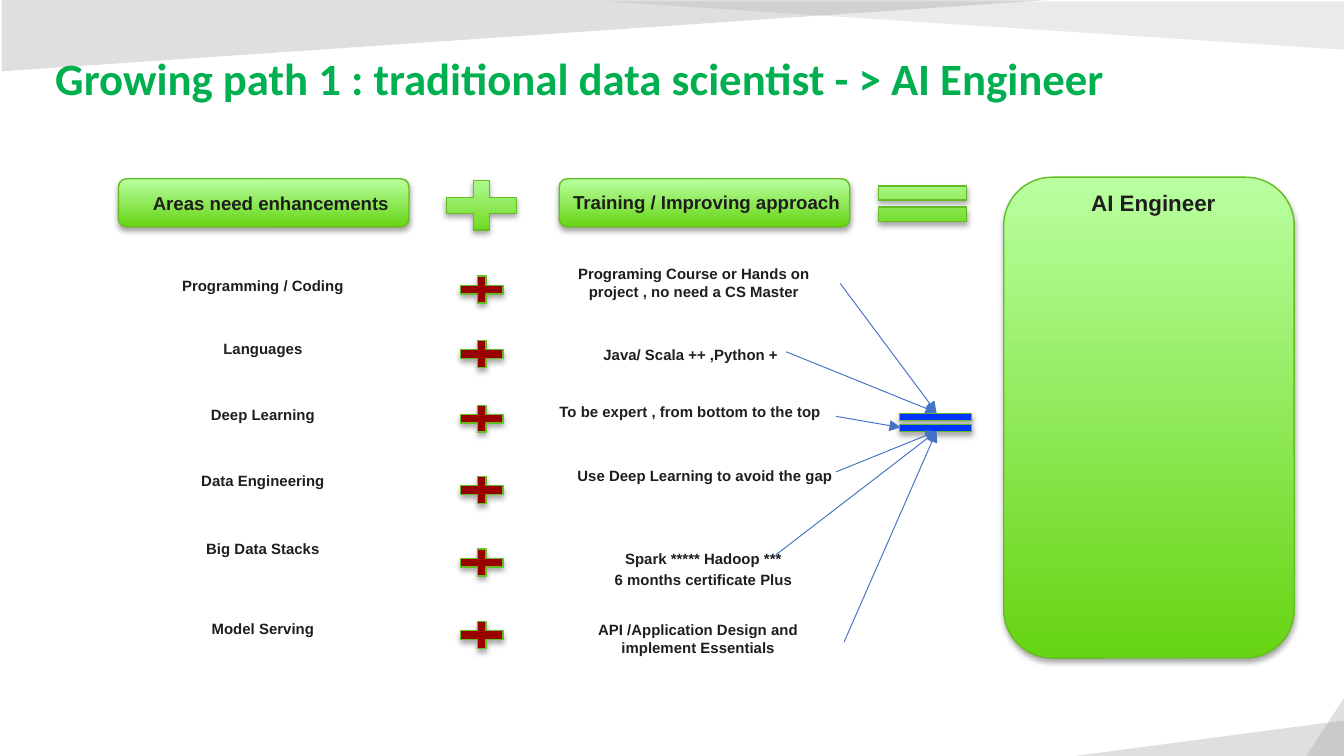
from dataclasses import dataclass

from lxml.etree import SubElement
from pptx import Presentation
from pptx.dml.color import RGBColor
from pptx.enum.shapes import MSO_CONNECTOR, MSO_SHAPE
from pptx.enum.text import MSO_ANCHOR, PP_ALIGN
from pptx.oxml.ns import qn
from pptx.util import Cm, Pt


@dataclass(frozen=True)
class Theme:
    """Colours, fonts and type sizes of the slide."""
    title: str = "00B050"
    text: str = "1E1E1E"
    light: str = "B9FFA0"
    dark: str = "66D412"
    outline: str = "66BD23"
    plus: str = "990000"
    equal: str = "0033FF"
    arrow: str = "4472C4"
    decor: str = "A5A5A5"
    shadow: str = "000000"
    title_font: str = "Calibri"
    body_font: str = "Arial"
    title_size: float = 24
    panel_size: float = 12
    header_size: float = 10
    body_size: float = 8


THEME = Theme()

ROWS = [
    ("Programming / Coding", 0.23, 0.25,
     "Programing Course or Hands on project , no need a CS Master", 8.26, 0, (13.78, 0.48), "top"),
    ("Languages", 1.42, 1.47,
     "Java/ Scala ++ ,Python +", 8.2, 1.52, (12.76, 1.77), "top"),
    ("Deep Learning", 2.66, 2.69,
     "To be expert , from bottom to the top", 8.19, 2.61, (13.7, 2.99), "left"),
    ("Data Engineering", 3.91, 4.04,
     "Use Deep Learning to avoid the gap", 8.47, 3.81, (13.7, 4.04), "bottom"),
    ("Big Data Stacks", 5.2, 5.41,
     "Spark ***** Hadoop ***\n6 months certificate Plus", 8.44, 5.38, (12.56, 5.61), "bottom"),
    ("Model Serving", 6.7, 6.78,
     "API /Application Design and implement Essentials", 8.34, 6.73, (13.85, 7.26), "bottom"),
]


def rgb(name):
    """Return the colour for a hex string."""
    return RGBColor.from_string(name)


def inside(box, dx, dy, w, h):
    """Return a box placed relative to another one."""
    return box[0] + dx, box[1] + dy, w, h


def format_runs(p, font, size, color):
    """Give the runs of a paragraph one bold format."""
    for r in p.runs:
        r.font.name, r.font.size, r.font.bold = font, Pt(size), True
        r.font.color.rgb = rgb(color)


def add_text(s, box, text, size):
    """Add centred bold text."""
    tf = s.shapes.add_textbox(*map(Cm, box)).text_frame
    tf.word_wrap = True
    tf.text = text
    for i, p in enumerate(tf.paragraphs):
        p.alignment = PP_ALIGN.CENTER
        p.space_before = Pt(0.2 * size if i else 0)
        format_runs(p, THEME.body_font, size, THEME.text)


def add_green(s, kind, box, fill=None):
    """Add a green-edged shape with a soft shadow, in a gradient or a plain fill."""
    sp = s.shapes.add_shape(kind, *map(Cm, box))
    if fill:
        sp.fill.solid()
        sp.fill.fore_color.rgb = rgb(fill)
    else:
        sp.fill.gradient()
        sp.fill.gradient_angle = 90
        for stop, color in zip(sp.fill.gradient_stops, (THEME.dark, THEME.light)):
            stop.color.rgb = rgb(color)
    sp.line.color.rgb = rgb(THEME.outline)
    sp.line.width = Pt(0.75)
    sp.shadow.inherit = False
    effects = sp._element.spPr.find(qn("a:effectLst"))
    shadow = SubElement(effects, qn("a:outerShdw"), blurRad=str(Pt(3.1)), dist=str(Pt(1.8)),
                        dir="5400000", rotWithShape="0")
    color = SubElement(shadow, qn("a:srgbClr"), val=THEME.shadow)
    SubElement(color, qn("a:alpha"), val="35000")
    return sp


def add_arrow(s, box, start, end):
    """Add an arrow between two points of a box."""
    points = [Cm(o + d) for point in (start, end) for o, d in zip(box, point)]
    line = s.shapes.add_connector(MSO_CONNECTOR.STRAIGHT, *points)
    line.line.color.rgb = rgb(THEME.arrow)
    line.line.width = Pt(0.5)
    spPr = line._element.spPr
    SubElement(spPr.find(qn("a:ln")), qn("a:tailEnd"), type="triangle")
    SubElement(spPr, qn("a:effectLst"))


def add_decor(s, box):
    """Place the translucent triangles in the corners of the slide."""
    _, _, w, h = box
    triangles = [
        ((w - 5.08, h - 0.67, 5.08, 0.67), ("flipH",), 35),
        ((w - 0.71, h - 1.09, 0.71, 1.09), ("flipH",), 35),
        ((0.03, 0, 19.81, 1.35), ("flipV",), 35),
        ((w - 13.94, 0.03, 13.94, 0.91), ("flipH", "flipV"), 23),
    ]
    for place, flips, alpha in triangles:
        sp = s.shapes.add_shape(MSO_SHAPE.RIGHT_TRIANGLE, *map(Cm, inside(box, *place)))
        sp.shadow.inherit = False
        sp.line.fill.background()
        sp.fill.solid()
        sp.fill.fore_color.rgb = rgb(THEME.decor)
        spPr = sp._element.spPr
        for flip in flips:
            spPr.find(qn("a:xfrm")).set(flip, "1")
        color = spPr.find(qn("a:solidFill")).find(qn("a:srgbClr"))
        SubElement(color, qn("a:alpha"), val=str(alpha * 1000))


def add_title(s, box, text):
    """Place the title placeholder in front of the other shapes."""
    sp = s.shapes.title
    sp.left, sp.top, sp.width, sp.height = map(Cm, box)
    tf = sp.text_frame
    tf.text = text
    tf.vertical_anchor = MSO_ANCHOR.MIDDLE
    p = tf.paragraphs[0]
    p.alignment = PP_ALIGN.LEFT
    p.line_spacing = 0.9
    format_runs(p, THEME.title_font, THEME.title_size, THEME.title)
    s.shapes._spTree.append(sp._element)


def add_header(s, box):
    """Place the two column headings with their plus and equal signs."""
    add_green(s, MSO_SHAPE.MATH_EQUAL, inside(box, 14.07, 0.03, 2.26, 1.14))
    for dx in (0, 8.33):
        add_green(s, MSO_SHAPE.ROUNDED_RECTANGLE, inside(box, dx, 0.13, 5.49, 0.91))
    add_text(s, inside(box, 0.22, 0.26, 5.31, 0.76), "Areas need enhancements", THEME.header_size)
    add_text(s, inside(box, 8.25, 0.23, 5.72, 0.76), "Training / Improving approach", THEME.header_size)
    add_green(s, MSO_SHAPE.MATH_PLUS, inside(box, 5.96, 0, 1.8, 1.27))


def add_rows(s, box):
    """Place the skills, their training and the arrows to the equal sign."""
    ends = {"top": (15.6, 2.92), "left": (14.92, 3.2), "bottom": (15.6, 3.27)}
    add_green(s, MSO_SHAPE.MATH_EQUAL, inside(box, 14.66, 2.82, 1.85, 0.58), THEME.equal)
    for skill, skill_y, plus_y, training, x, y, start, side in ROWS:
        add_text(s, inside(box, 0, skill_y, 5.74, 0.76), skill, THEME.body_size)
        add_green(s, MSO_SHAPE.MATH_PLUS, inside(box, 6.46, plus_y, 1.09, 0.69), THEME.plus)
        add_text(s, inside(box, x, y, 5.51, 0.94), training, THEME.body_size)
        add_arrow(s, box, start, ends[side])


def add_panel(s, box, text):
    """Place the result panel with its heading."""
    add_green(s, MSO_SHAPE.ROUNDED_RECTANGLE, box)
    add_text(s, inside(box, 0.38, 0.1, 4.9, 0.76), text, THEME.panel_size)


def main():
    """Build and save the slide."""
    prs = Presentation()
    prs.slide_width, prs.slide_height = Cm(25.4), Cm(14.29)
    s = prs.slides.add_slide(prs.slide_layouts[5])
    add_decor(s, (0, 0, 25.4, 14.29))
    add_header(s, (2.24, 3.25, 16.33, 1.27))
    add_panel(s, (18.97, 3.35, 5.49, 9.09), "AI Engineer")
    add_rows(s, (2.1, 4.88, 16.51, 7.67))
    add_title(s, (0.79, 0.48, 22.02, 2.11),
              "Growing path 1 : traditional data scientist - > AI Engineer")
    prs.save("out.pptx")


if __name__ == "__main__":
    main()
